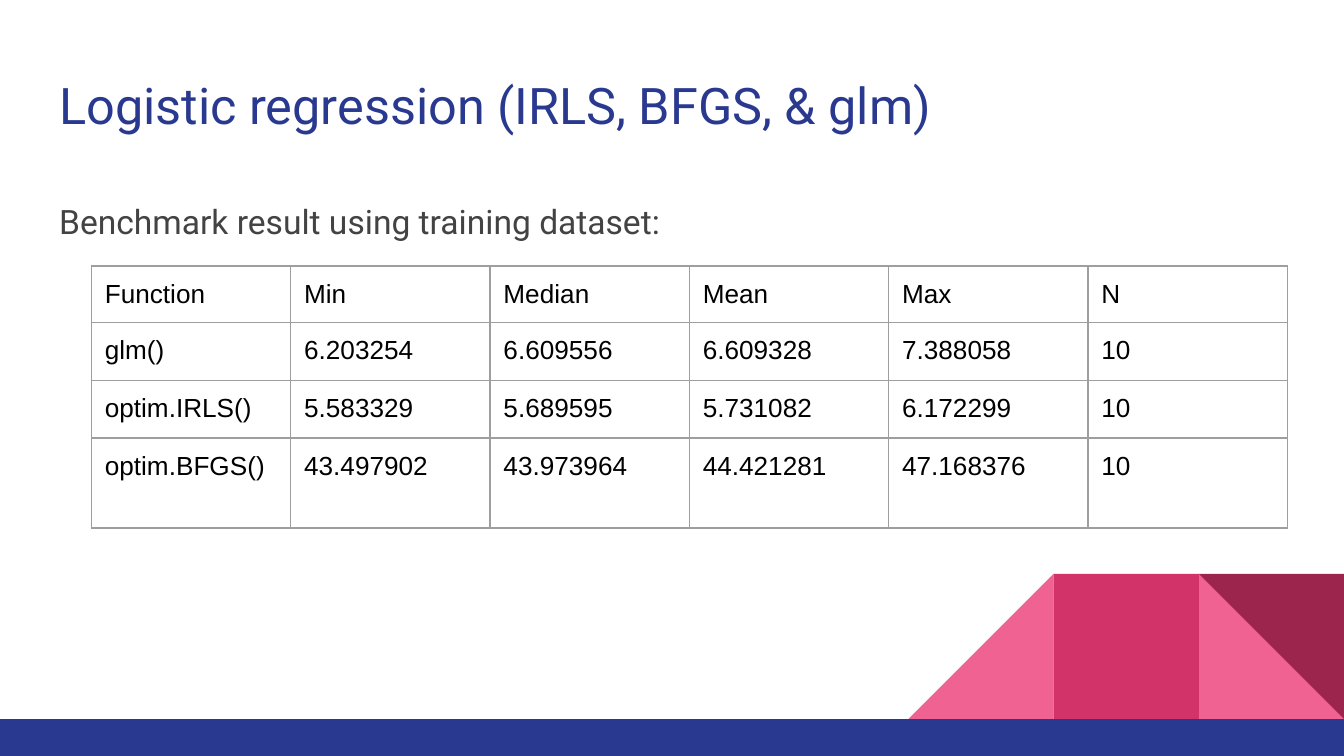
import pptx
import pptx.dml.color
import pptx.enum.shapes
import pptx.enum.text
import pptx.oxml
import pptx.oxml.ns
import pptx.util
from lxml import etree

Inches = pptx.util.Inches
SHAPE = pptx.enum.shapes.MSO_SHAPE
ANCHOR = pptx.enum.text.MSO_ANCHOR
qn = pptx.oxml.ns.qn

BLUE, PINK, ROSE, WINE = "2A3990", "F06292", "D23369", "9C254D"
GRAY, BLACK, BORDER = "434343", "000000", "9E9E9E"

RESULTS = [
    ["Function", "Min", "Median", "Mean", "Max", "N"],
    ["glm()", "6.203254", "6.609556", "6.609328", "7.388058", "10"],
    ["optim.IRLS()", "5.583329", "5.689595", "5.731082", "6.172299", "10"],
    ["optim.BFGS()", "43.497902", "43.973964", "44.421281", "47.168376", "10"],
]


def color(value):
    return pptx.dml.color.RGBColor.from_string(value)


def write(tf, text, font="Roboto", size=18, fill=BLACK, spacing=None):
    p = tf.paragraphs[0]
    p.line_spacing = spacing
    r = p.add_run()
    r.text = text
    r.font.name = font
    r.font.size = pptx.util.Pt(size)
    r.font.color.rgb = color(fill)
    return p


def place(sp, left, top, width, height, anchor):
    sp.left, sp.top = Inches(left), Inches(top)
    sp.width, sp.height = Inches(width), Inches(height)
    tf = sp.text_frame
    tf.word_wrap = True
    tf.auto_size = pptx.enum.text.MSO_AUTO_SIZE.NONE
    tf.vertical_anchor = anchor
    tf.margin_left = tf.margin_right = Inches(0.1)
    tf.margin_top = tf.margin_bottom = Inches(0.1)
    return tf


def add_title(sp, text, box):
    p = write(place(sp, *box, ANCHOR.MIDDLE), text, size=27, fill=BLUE)
    p.alignment = pptx.enum.text.PP_ALIGN.LEFT


def add_body(sp, text, box):
    p = write(place(sp, *box, ANCHOR.TOP), text, fill=GRAY, spacing=1.15)
    p.space_before = pptx.util.Pt(0)
    # Plain paragraph without bullet or indent
    pPr = p._p.get_or_add_pPr()
    pPr.set("marL", "0")
    pPr.set("indent", "0")
    etree.SubElement(pPr, qn("a:buNone"))


def add_block(slide, kind, left, top, width, height, fill):
    sp = slide.shapes.add_shape(kind, Inches(left), Inches(top),
                                Inches(width), Inches(height))
    sp.shadow.inherit = False
    sp.fill.solid()
    sp.fill.fore_color.rgb = color(fill)
    sp.line.fill.background()
    return sp


def add_footer(slide, left, top, width, height, side=1.08):
    # Row of folded tiles standing on the bar, flush with its right end
    right, tile_top = left + width, top - side
    tiles = [(1, SHAPE.RIGHT_TRIANGLE, PINK, False, 0),
             (3, SHAPE.RIGHT_TRIANGLE, PINK, True, 0),
             (2, SHAPE.RECTANGLE, ROSE, False, 0),
             (1, SHAPE.RIGHT_TRIANGLE, WINE, False, 180)]
    for steps, kind, fill, flipped, angle in tiles:
        sp = add_block(slide, kind, right - steps * side, tile_top, side, side, fill)
        sp.rotation = angle
        if flipped:
            sp._element.spPr.find(qn("a:xfrm")).set("flipH", "1")
    add_block(slide, SHAPE.RECTANGLE, left, top, width, height, BLUE)


def add_borders(cell):
    tcPr = cell._tc.get_or_add_tcPr()
    for i, side in enumerate(("a:lnL", "a:lnR", "a:lnT", "a:lnB")):
        ln = etree.Element(qn(side), w=str(pptx.util.Pt(0.75)))
        fill = etree.SubElement(ln, qn("a:solidFill"))
        etree.SubElement(fill, qn("a:srgbClr"), val=BORDER)
        tcPr.insert(i, ln)


def add_results(slide, rows, left, top, width, heights):
    cols = len(rows[0])
    table = slide.shapes.add_table(len(rows), cols, Inches(left), Inches(top),
                                   Inches(width), Inches(sum(heights))).table
    table.first_row = table.horz_banding = False
    for col in table.columns:
        col.width = Inches(width / cols)
    for row, height, values in zip(table.rows, heights, rows):
        row.height = Inches(height)
        for cell, value in zip(row.cells, values):
            cell.margin_left = cell.margin_right = Inches(0.1)
            cell.margin_top = cell.margin_bottom = Inches(0.1)
            cell.fill.background()
            add_borders(cell)
            write(cell.text_frame, value, font="Arial", size=14)


# Widescreen page, 16 by 9
prs = pptx.Presentation()
prs.slide_width, prs.slide_height = Inches(10), Inches(10 * 9 / 16)
slide = prs.slides.add_slide(prs.slide_layouts[1])
title, body = slide.placeholders

add_footer(slide, 0, 5.35, 10, 0.28)
# Bring the text in front of the footer
for sp in (title, body):
    slide.shapes._spTree.append(sp._element)
add_title(title, "Logistic regression (IRLS, BFGS, & glm)", (0.34, 0.45, 9.32, 0.66))
add_body(body, "Benchmark result using training dataset:", (0.34, 1.35, 9.32, 3.65))
add_results(slide, RESULTS, 0.68, 1.98, 8.9, [0.42, 0.43, 0.43, 0.67])

prs.save("out.pptx")
